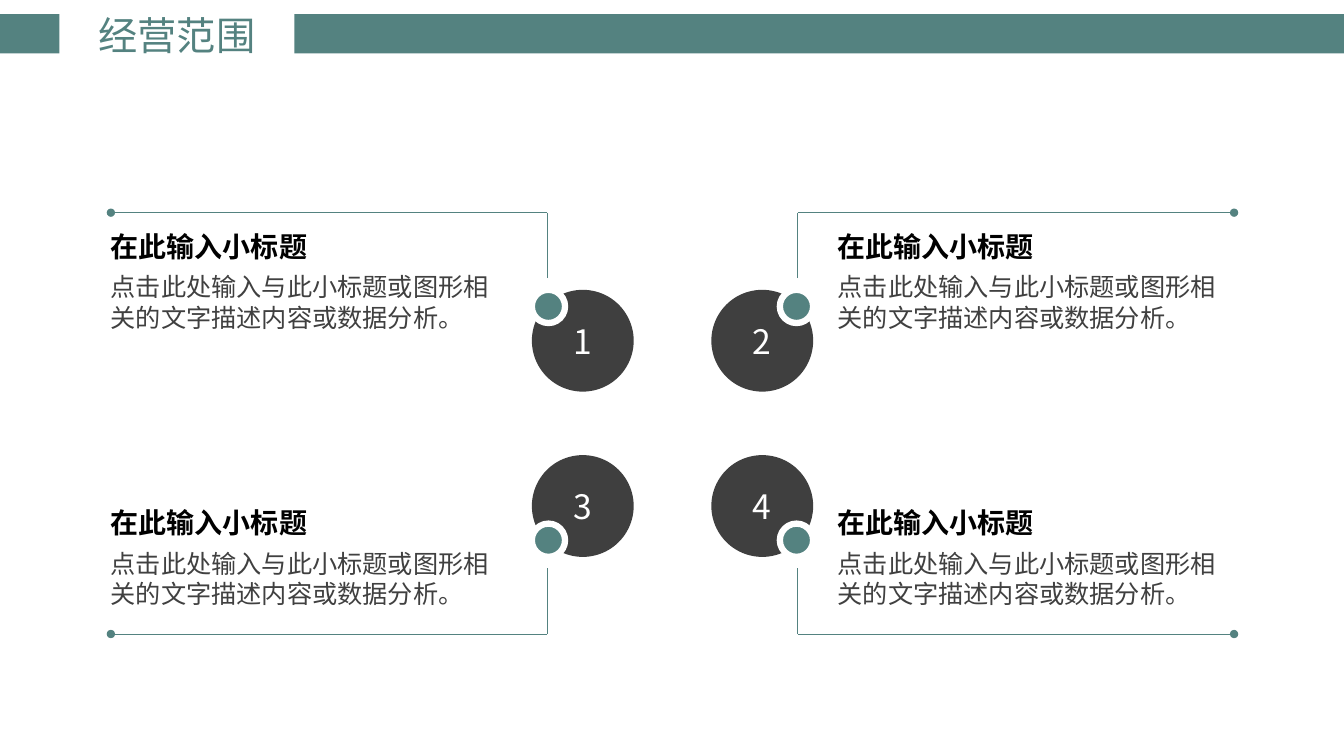
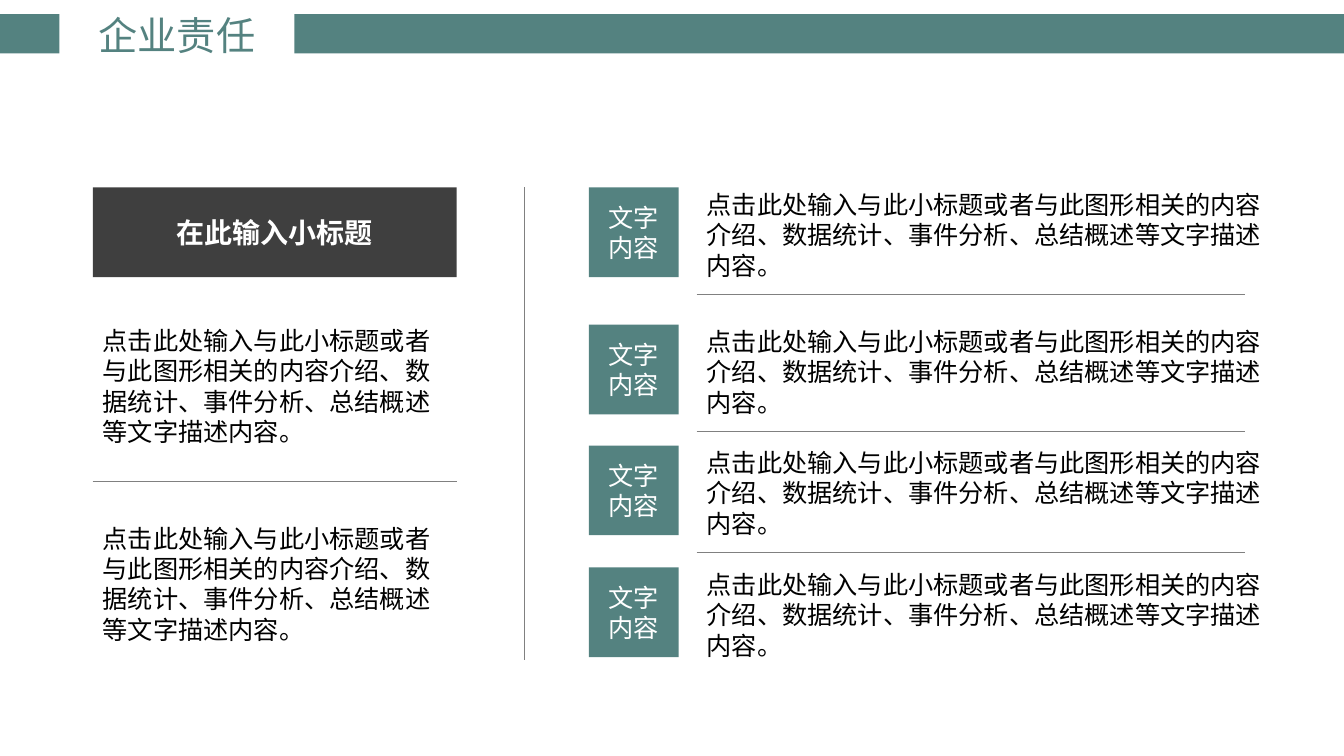
from lxml.etree import SubElement
from pptx import Presentation
from pptx.dml.color import RGBColor
from pptx.enum.shapes import MSO_CONNECTOR, MSO_SHAPE
from pptx.enum.text import MSO_ANCHOR, MSO_AUTO_SIZE, PP_ALIGN
from pptx.oxml.ns import qn
from pptx.util import Inches, Pt

TEAL = RGBColor(0x54, 0x82, 0x80)
DARK = RGBColor(0x3F, 0x3F, 0x3F)
BODY = RGBColor(0x40, 0x40, 0x40)
GRAY = RGBColor(0x80, 0x80, 0x80)
BLACK = RGBColor(0, 0, 0)
WHITE = RGBColor(0xFF, 0xFF, 0xFF)
FONT = "Noto Sans CJK SC"
LEAD = 1.2

HEAD = "在此输入小标题"
BRIEF = "点击此处输入与此小标题或图形相关的文字描述内容或数据分析。"
DETAIL = ("点击此处输入与此小标题或者与此图形相关的内容介绍、"
          "数据统计、事件分析、总结概述等文字描述内容。")


def style(para, size, color, bold=False, align=None, before=0):
    para.alignment = align
    para.space_before = Pt(before)
    para.line_spacing = Pt(round(size * LEAD, 1))
    for run in para.runs:
        font = run.font
        font.name, font.size, font.bold = FONT, Pt(size), bold
        font.color.rgb = color
        SubElement(font._element, qn("a:ea"), typeface=FONT)


def shape(slide, kind, box, fill, edge=None):
    item = slide.shapes.add_shape(kind, *map(Inches, box))
    item.shadow.inherit = False
    item.fill.solid()
    item.fill.fore_color.rgb = fill
    if edge:
        item.line.color.rgb, item.line.width = edge, Pt(4.5)
    else:
        item.line.fill.background()
    return item


def label(item, text, size, bold=False):
    """Centre white text in a shape."""
    frame = item.text_frame
    frame.text = text
    frame.word_wrap = True
    frame.vertical_anchor = MSO_ANCHOR.MIDDLE
    for para in frame.paragraphs:
        style(para, size, WHITE, bold, PP_ALIGN.CENTER)


def disc(slide, x, y, size, fill, edge=None):
    """Draw a circle around the centre x, y."""
    box = (x - size / 2, y - size / 2, size, size)
    return shape(slide, MSO_SHAPE.OVAL, box, fill, edge)


def rule(slide, start, end, color, dot=False):
    line = slide.shapes.add_connector(
        MSO_CONNECTOR.STRAIGHT, *map(Inches, start + end))
    line.line.color.rgb, line.line.width = color, Pt(0.5)
    props = line.element.spPr
    if dot:
        SubElement(props.find(qn("a:ln")), qn("a:tailEnd"), type="oval")
    SubElement(props, qn("a:effectLst"))


def note(slide, box, text):
    frame = slide.shapes.add_textbox(*map(Inches, box)).text_frame
    frame.word_wrap = True
    frame.text = text
    for para in frame.paragraphs:
        style(para, 18, BLACK, before=6)
    return frame


def bands(slide, layout):
    """Put the header bands and the title's place on the layout."""
    for left, width in ((0, 0.59), (2.92, 10.42)):
        band = shape(slide, MSO_SHAPE.RECTANGLE, (left, 0.14, width, 0.39), TEAL)
        layout.shapes.element.insert(2, band.element)
    title = layout.placeholders[0]
    title.left, title.top = Inches(0.87), Inches(0.06)
    title.width, title.height = Inches(1.77), Inches(0.57)


def page(deck, layout, text):
    slide = deck.slides.add_slide(layout)
    frame = slide.shapes.title.text_frame
    frame.text = text
    frame.word_wrap = False
    frame.auto_size = MSO_AUTO_SIZE.NONE
    frame.vertical_anchor = MSO_ANCHOR.MIDDLE
    style(frame.paragraphs[0], 28, TEAL, align=PP_ALIGN.CENTER)
    return slide


def quarter(slide, num, x, y, dx, dy):
    """Draw one numbered item; dx and dy point outward from the centre x, y."""
    label(disc(slide, x + dx * 0.89, y + dy * 0.82, 1.01, DARK), str(num), 24)
    disc(slide, x + dx * 1.23, y + dy * 1.16, 0.33, TEAL, WHITE)
    stem, edge = x + dx * 1.24, y + dy * 2.09
    rule(slide, (stem, y + dy * 1.44), (stem, edge), TEAL)
    rule(slide, (stem, edge), (x + dx * 5.57, edge), TEAL, dot=True)
    left = x + (1.54 if dx > 0 else -5.67)
    top = y + (0.77 if dy > 0 else -1.97)
    frame = note(slide, (left, top, 4.03, 1.13), HEAD)
    style(frame.paragraphs[0], 20, BLACK, True, before=6)
    para = frame.add_paragraph()
    para.text = BRIEF
    style(para, 18, BODY, before=6)


def scope(slide):
    sides = [(dx, dy) for dy in (-1, 1) for dx in (-1, 1)]
    for num, (dx, dy) in enumerate(sides, 1):
        quarter(slide, num, 6.67, 4.2, dx, dy)


def summary(slide, x, y, width):
    bar = shape(slide, MSO_SHAPE.RECTANGLE, (x, y, width, 0.89), DARK)
    label(bar, HEAD, 20, True)
    for drop in (1.32, 3.28):
        note(slide, (x, y + drop, width, 1.31), DETAIL)
    rule(slide, (x, y + 2.92), (x + width, y + 2.92), GRAY)


def entry(slide, x, y, last):
    """Draw a tile with its text, and a rule below unless it is the last."""
    tile = shape(slide, MSO_SHAPE.RECTANGLE, (x, y, 0.89, 0.89), TEAL)
    label(tile, "文字\n内容", 18)
    left = x + 1.07
    note(slide, (left, y - 0.03, 5.92, 1.01), DETAIL)
    if not last:
        rule(slide, (left, y + 1.06), (left + 5.44, y + 1.06), GRAY)


def duty(slide):
    summary(slide, 0.92, 1.86, 3.61)
    rule(slide, (5.2, 1.86), (5.2, 6.55), GRAY)
    tops = (1.86, 3.22, 4.42, 5.63)
    for top in tops:
        entry(slide, 5.84, top, top == tops[-1])


def main():
    deck = Presentation()
    deck.slide_width, deck.slide_height = Inches(13.33), Inches(7.5)
    layout = deck.slide_layouts[5]
    first = page(deck, layout, "经营范围")
    bands(first, layout)
    scope(first)
    duty(page(deck, layout, "企业责任"))
    deck.save("out.pptx")


if __name__ == "__main__":
    main()
